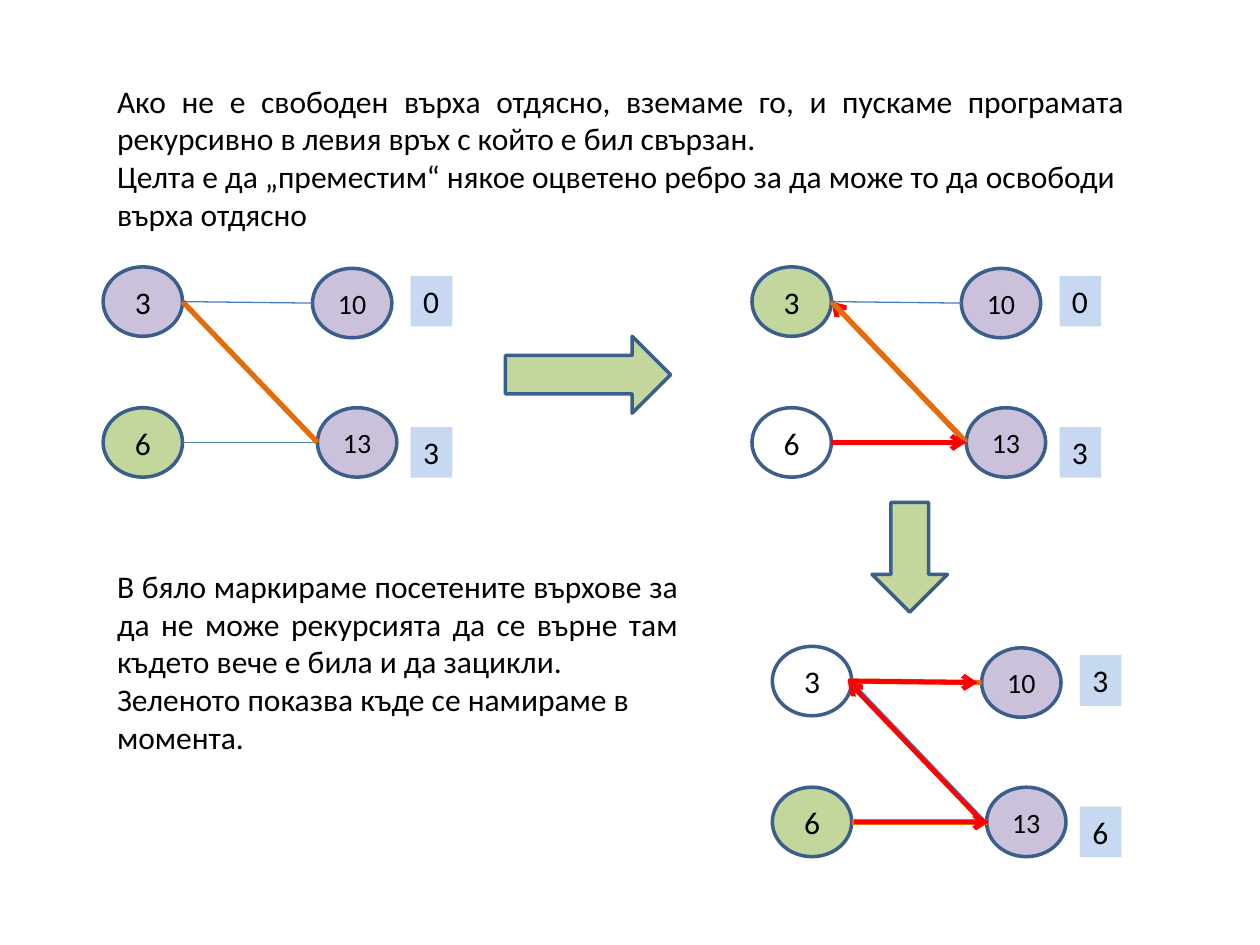
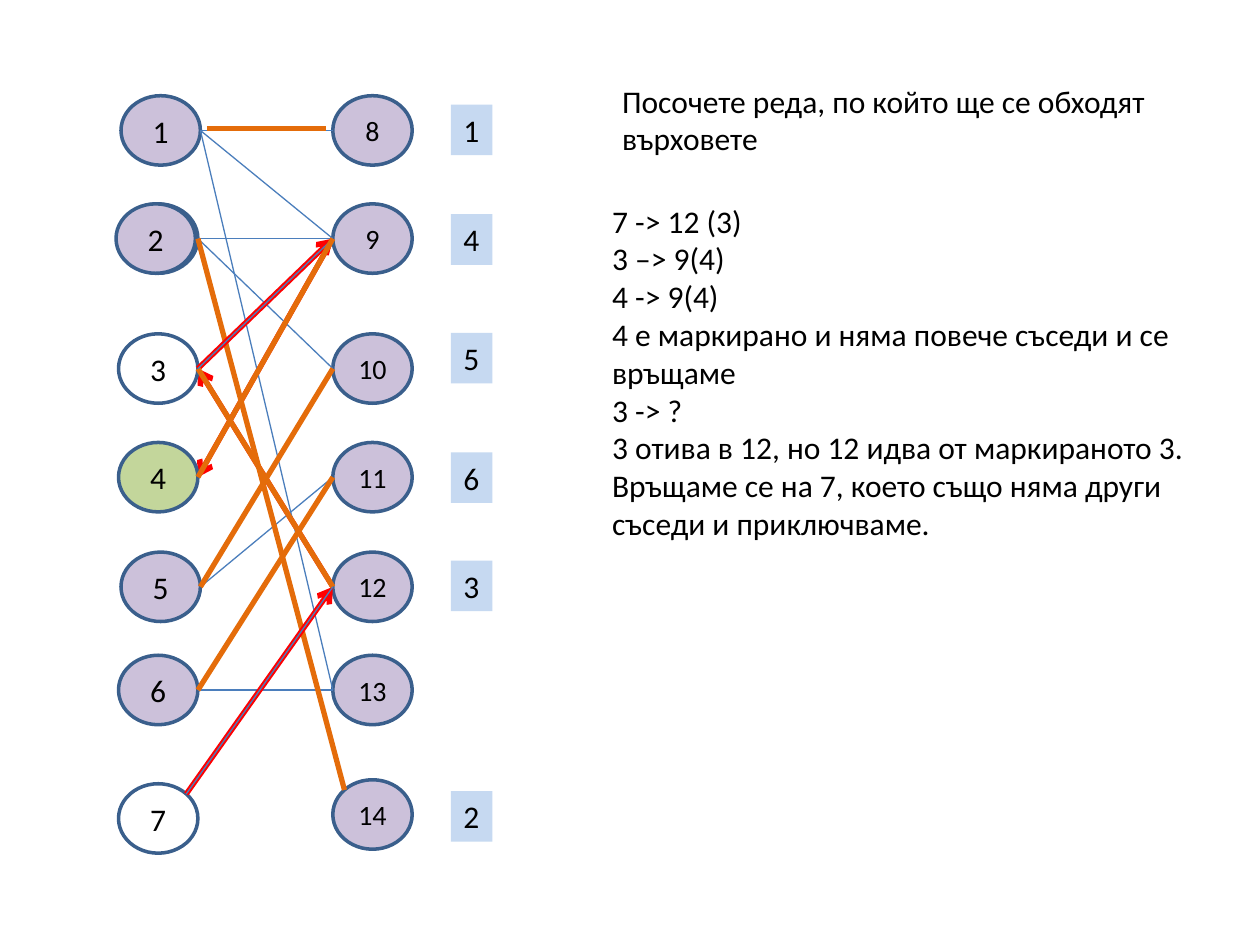
import math

import pptx
import pptx.dml.color
import pptx.enum.shapes
import pptx.enum.text
import pptx.oxml
import pptx.oxml.ns
import pptx.util

Cm = pptx.util.Cm
Pt = pptx.util.Pt
RGBColor = pptx.dml.color.RGBColor
PRESET = pptx.enum.shapes.MSO_SHAPE
ALIGN = pptx.enum.text.PP_ALIGN

BLACK = RGBColor(0x00, 0x00, 0x00)
VISITED = RGBColor(0xFF, 0xFF, 0xFF)
CURRENT = RGBColor(0xC3, 0xD6, 0x9B)
PLAIN = RGBColor(0xCC, 0xC1, 0xDA)
TAG_BLUE = RGBColor(0xC6, 0xD9, 0xF1)
OUTLINE = RGBColor(0x3A, 0x5F, 0x8C)
EDGE_BLUE = RGBColor(0x4B, 0x7E, 0xBC)
ORANGE = RGBColor(0xE4, 0x6C, 0x0A)
RED = RGBColor(0xFF, 0x00, 0x00)

FONT = "Calibri"
NODE_W, NODE_H = 1.6, 1.4
TAG_W, TAG_H = 0.84, 1.02
RIGHT, LEFT, TOP_RIGHT, TOP_LEFT = 0, 180, -45, -135

EDGE = dict(color=EDGE_BLUE, width=0.75)
MATCH = dict(color=ORANGE, width=3)
STEP = dict(color=RED, width=2.75, arrow=True)
WIDE_STEP = dict(color=RED, width=3, arrow=True)


def write_text(shape, *paragraphs, size=18, align=ALIGN.LEFT, first_align=None, wrap=True):
    frame = shape.text_frame
    frame.word_wrap = wrap
    for index, content in enumerate(paragraphs):
        paragraph = frame.add_paragraph() if index else frame.paragraphs[0]
        paragraph.alignment = align if index or first_align is None else first_align
        run = paragraph.add_run()
        run.text = content
        run.font.name = FONT
        run.font.size = Pt(size)
        run.font.color.rgb = BLACK


def add_passage(shapes, box, *paragraphs, **text_format):
    passage = shapes.add_textbox(*map(Cm, box))
    write_text(passage, *paragraphs, **text_format)
    passage.text_frame.auto_size = pptx.enum.text.MSO_AUTO_SIZE.SHAPE_TO_FIT_TEXT
    return passage


def add_outlined(shapes, preset, box, fill):
    shape = shapes.add_shape(preset, *map(Cm, box))
    shape.shadow.inherit = False
    shape.fill.solid()
    shape.fill.fore_color.rgb = fill
    shape.line.color.rgb = OUTLINE
    shape.line.width = Pt(2)
    return shape


def add_node(shapes, number, position, fill, size):
    node = add_outlined(shapes, PRESET.OVAL, (*position, NODE_W, NODE_H), fill)
    write_text(node, str(number), size=size, align=ALIGN.CENTER)
    node.text_frame.vertical_anchor = pptx.enum.text.MSO_ANCHOR.MIDDLE


def add_tag(shapes, number, position):
    tag = add_passage(shapes, (*position, TAG_W, TAG_H), str(number), wrap=False)
    tag.fill.solid()
    tag.fill.fore_color.rgb = TAG_BLUE


def add_line(shapes, start, end, color, width, arrow=False):
    line = shapes.add_connector(
        pptx.enum.shapes.MSO_CONNECTOR.STRAIGHT, *map(Cm, (*start, *end)))
    line.line.color.rgb = color
    line.line.width = Pt(width)
    properties = line._element.spPr
    namespace = pptx.oxml.ns.nsdecls("a")
    if arrow:
        properties.find(pptx.oxml.ns.qn("a:ln")).append(
            pptx.oxml.parse_xml(f'<a:tailEnd {namespace} type="arrow"/>'))
    properties.append(pptx.oxml.parse_xml(f"<a:effectLst {namespace}/>"))


def rim_point(position, degrees, shift=0):
    angle = math.radians(degrees)
    return (position[0] + NODE_W / 2 * (1 + math.cos(angle)) + shift,
            position[1] + NODE_H / 2 * (1 + math.sin(angle)))


def add_edge(shapes, places, start, end, style, shift=0, corners=None):
    first_left = min(place[0] for place in places.values())
    points = []
    for number in (start, end):
        on_left = places[number][0] < first_left + NODE_W
        side = (corners or {}).get((start, end), {}).get(number, RIGHT if on_left else LEFT)
        points.append(rim_point(places[number], side, shift))
    add_line(shapes, *points, **style)


def add_small_graph(slide, left, top, fills, tags, edges, under=()):
    shapes = slide.shapes.add_group_shape().shapes
    offsets = {3: (0, 0), 6: (0, 2.84), 10: (4.22, 0.03), 13: (4.32, 2.84)}
    places = {number: (left + x, top + y) for number, (x, y) in offsets.items()}
    for edge in under:
        add_edge(shapes, places, *edge)
    for number, place in places.items():
        add_node(shapes, number, place, fills.get(number, PLAIN), 18 if number < 10 else 16)
    for number, drop in zip(tags, (0.18, 3.23)):
        add_tag(shapes, number, (left + 6.2, top + drop))
    for edge in edges:
        add_edge(shapes, places, *edge)


def build_rematching(slide):
    shapes = slide.shapes
    add_passage(
        shapes, (2.11, 1.52, 20.8, 3.33),
        "Ако не е свободен върха отдясно, вземаме го, и пускаме програмата "
        "рекурсивно в левия връх с който е бил свързан.",
        "Целта е да „преместим“ някое оцветено ребро за да може то да освободи "
        "върха отдясно",
        first_align=ALIGN.JUSTIFY)
    add_passage(
        shapes, (2.11, 11.3, 11.81, 4.11),
        "В бяло маркираме посетените върхове за да не може рекурсията да се "
        "върне там където вече е била и да зацикли.",
        "Зеленото показва къде се намираме в момента.",
        first_align=ALIGN.JUSTIFY)
    add_outlined(shapes, PRESET.RIGHT_ARROW, (10.19, 6.78, 3.33, 1.55), CURRENT)
    add_outlined(shapes, PRESET.DOWN_ARROW, (17.58, 10.13, 1.52, 2.21), CURRENT)

    start_edges = [(6, 13, EDGE), (3, 13, MATCH), (3, 10, EDGE)]
    add_small_graph(slide, 2.08, 5.38, {6: CURRENT}, (0, 3), start_edges)
    add_small_graph(slide, 15.16, 5.38, {6: VISITED, 3: CURRENT}, (0, 3),
                    start_edges + [(6, 13, STEP)], under=[(13, 3, STEP)])
    add_small_graph(slide, 15.57, 13.03, {6: CURRENT, 3: VISITED}, (3, 6),
                    [(6, 13, MATCH), (3, 13, EDGE), (3, 10, MATCH),
                     (6, 13, STEP, 0.05), (13, 3, STEP, -0.08), (3, 10, STEP, -0.08)])


def build_exercise(slide):
    shapes = slide.shapes
    left, right, tag_left = 2.39, 6.71, 9.09
    rows = (1.93, 4.11, 6.73, 8.92, 11.13, 13.21, 15.8)
    places = {number: (left, top) for number, top in enumerate(rows, 1)}
    places |= {number: (right, top) for number, top in enumerate(rows, 8)}
    places[1], places[5] = (2.44, rows[0]), (2.44, rows[4])
    places[14] = (right, 15.72)
    fills = {3: VISITED, 4: CURRENT, 7: VISITED}
    corners = {(2, 14): {14: TOP_LEFT}, (7, 12): {7: TOP_RIGHT}}

    def add_edges(style, *pairs):
        for start, end in pairs:
            add_edge(shapes, places, start, end, style, corners=corners)

    add_edges(WIDE_STEP, (9, 4), (12, 3))
    for number, place in places.items():
        add_node(shapes, number, place, fills.get(number, PLAIN), 18 if number < 8 else 16)
    add_node(shapes, 2, (2.34, rows[1]), PLAIN, 18)
    add_edges(EDGE, (1, 8), (1, 9), (2, 9), (2, 10), (5, 10), (5, 11),
              (6, 13), (1, 13), (2, 14))
    add_line(shapes, (4.17, 2.59), (6.58, 2.59), **MATCH)
    add_edges(MATCH, (6, 11), (5, 10), (2, 14))
    add_edges(WIDE_STEP, (7, 12), (3, 9))
    add_edges(MATCH, (3, 12))
    add_edges(EDGE, (7, 12), (3, 9))
    add_edges(MATCH, (4, 9))

    tag_tops = {1: 2.11, 4: 4.32, 5: 6.71, 6: 9.12, 3: 11.3, 2: 15.95}
    for number, top in tag_tops.items():
        add_tag(shapes, number, (tag_left, top))

    add_passage(shapes, (12.29, 1.52, 11.99, 1.8),
                "Посочете реда, по който ще се обходят върховете")
    add_passage(
        shapes, (12.09, 3.94, 12.4, 7.19),
        "7 -> 12 (3)",
        "3 –> 9(4)",
        "4 -> 9(4)",
        "4 е маркирано и няма повече съседи и се връщаме",
        "3 -> ?",
        "3 отива в 12, но 12 идва от маркираното 3.",
        "Връщаме се на 7, което също няма други съседи и приключваме.")


def main():
    deck = pptx.Presentation()
    deck.slide_width, deck.slide_height = Cm(25.4), Cm(19.05)
    blank = deck.slide_layouts[6]
    for build in (build_rematching, build_exercise):
        build(deck.slides.add_slide(blank))
    deck.save("out.pptx")


main()
